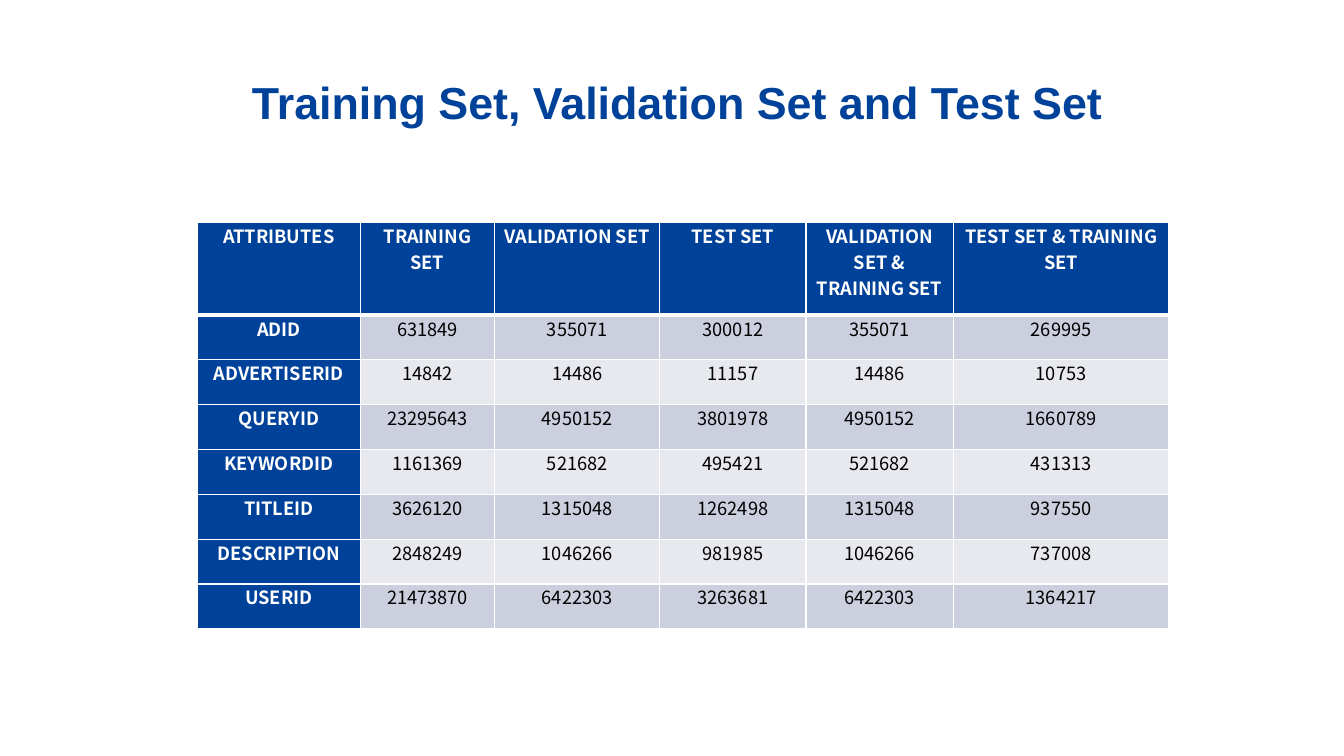
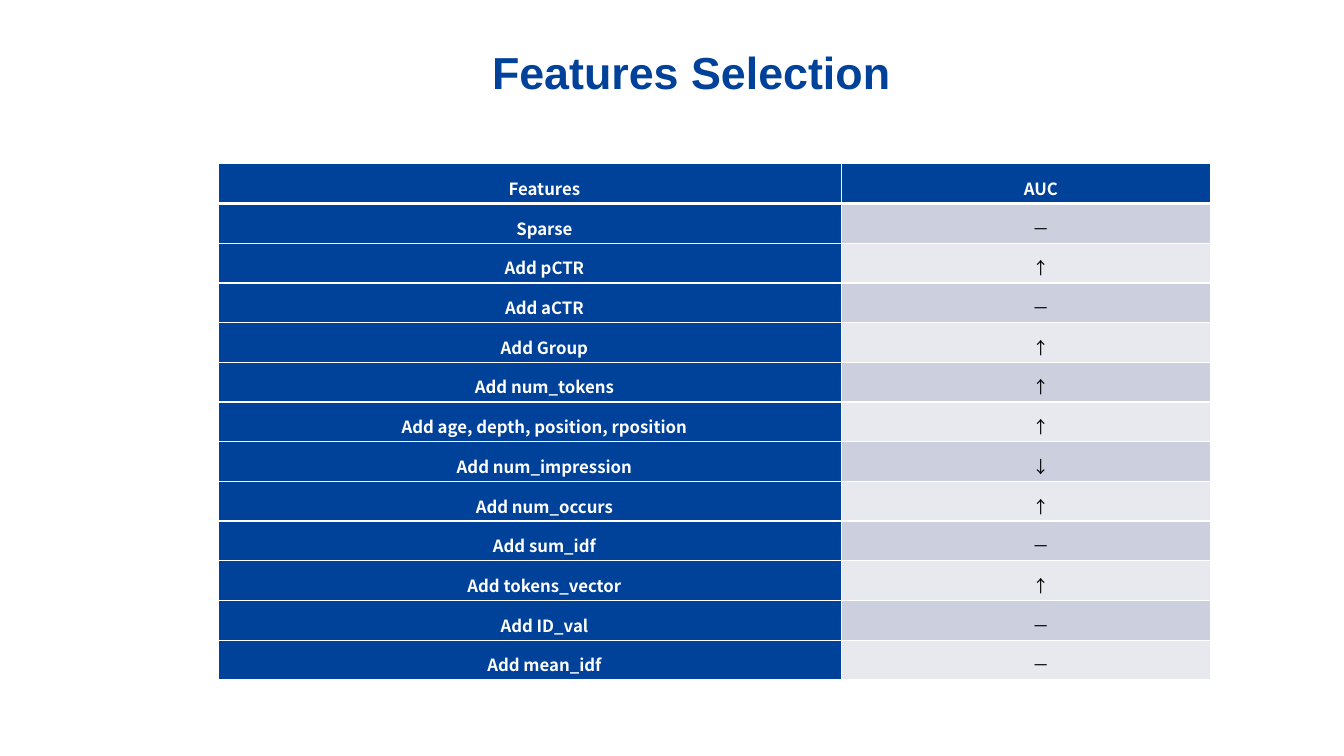
"""Build two slides that show data set sizes and the effect of each feature."""
from dataclasses import dataclass

import lxml.etree
import pptx
import pptx.dml.color
import pptx.enum.text
import pptx.oxml.ns
import pptx.util

Cm = pptx.util.Cm
Pt = pptx.util.Pt
COLOURS = {
    "blue": "004299",
    "white": "FFFFFF",
    "black": "000000",
    "band_dark": "CCCFDE",
    "band_light": "E7E9EF",
}
TITLE_FONT = "Arial"
TABLE_FONT = "Noto Sans CJK SC"


@dataclass(frozen=True)
class Title:
    text: str
    left: float
    top: float
    width: float
    centred: bool = False


@dataclass(frozen=True)
class Grid:
    rows: list[tuple[str, ...]]
    left: float
    top: float
    column_widths: tuple[float, ...]
    header_height: float
    row_height: float
    font_size: int
    side_margin: float
    indent: float = 0
    line_spacing: float = 1


SET_SIZES = [
    ("ATTRIBUTES", "TRAINING SET", "VALIDATION SET", "TEST SET",
     "VALIDATION SET & TRAINING SET", "TEST SET & TRAINING SET"),
    ("ADID", "631849", "355071", "300012", "355071", "269995"),
    ("ADVERTISERID", "14842", "14486", "11157", "14486", "10753"),
    ("QUERYID", "23295643", "4950152", "3801978", "4950152", "1660789"),
    ("KEYWORDID", "1161369", "521682", "495421", "521682", "431313"),
    ("TITLEID", "3626120", "1315048", "1262498", "1315048", "937550"),
    ("DESCRIPTION", "2848249", "1046266", "981985", "1046266", "737008"),
    ("USERID", "21473870", "6422303", "3263681", "6422303", "1364217"),
]
FEATURE_EFFECTS = [
    ("Features", "AUC"),
    ("Sparse", "－"),
    ("Add pCTR", "↑"),
    ("Add aCTR", "－"),
    ("Add Group", "↑"),
    ("Add num_tokens", "↑"),
    ("Add age, depth, position, rposition", "↑"),
    ("Add num_impression", "↓"),
    ("Add num_occurs", "↑"),
    ("Add sum_idf", "－"),
    ("Add tokens_vector", "↑"),
    ("Add ID_val", "－"),
    ("Add mean_idf", "－"),
]
PAGES = [
    (Title("Training Set, Validation Set and Test Set", 6.1, 1.75, 23.37),
     Grid(SET_SIZES, 4.97, 5.6, (4.11, 3.38, 4.17, 3.68, 3.71, 5.44),
          header_height=2.34, row_height=1.13, font_size=13, side_margin=0.24)),
    (Title("Features Selection", 11.2, 1, 12.45, centred=True),
     Grid(FEATURE_EFFECTS, 5.5, 4.13, (15.7, 9.32),
          header_height=1, row_height=1, font_size=12, side_margin=0.19,
          indent=0.74, line_spacing=1.5)),
]


def colour(name: str) -> pptx.dml.color.RGBColor:
    return pptx.dml.color.RGBColor.from_string(COLOURS[name])


def format_span(span, font: str, size: int, colour_name: str, bold: bool) -> None:
    span.font.name = font
    span.font.size = Pt(size)
    span.font.bold = bold
    span.font.color.rgb = colour(colour_name)
    east_asian = lxml.etree.SubElement(span.font._element, pptx.oxml.ns.qn("a:ea"))
    east_asian.set("typeface", font)


def add_title(page, title: Title) -> None:
    box = page.shapes.add_textbox(Cm(title.left), Cm(title.top), Cm(title.width), Cm(1.62))
    frame = box.text_frame
    frame.text = title.text
    frame.word_wrap = True
    frame.auto_size = pptx.enum.text.MSO_AUTO_SIZE.SHAPE_TO_FIT_TEXT
    para = frame.paragraphs[0]
    if title.centred:
        para.alignment = pptx.enum.text.PP_ALIGN.CENTER
    format_span(para.runs[0], TITLE_FONT, 32, "blue", True)


def set_borders(cell, widths: dict[str, int]) -> None:
    properties = cell._tc.get_or_add_tcPr()
    for position, (side, width) in enumerate(widths.items()):
        line = lxml.etree.Element(pptx.oxml.ns.qn(f"a:ln{side}"), w=str(Pt(width)))
        fill = lxml.etree.SubElement(line, pptx.oxml.ns.qn("a:solidFill"))
        lxml.etree.SubElement(fill, pptx.oxml.ns.qn("a:srgbClr"), val=COLOURS["white"])
        properties.insert(position, line)


def fill_cell(cell, text: str, row: int, column: int, grid: Grid) -> None:
    heading = row == 0 or column == 0
    band = "band_dark" if row % 2 else "band_light"
    cell.fill.solid()
    cell.fill.fore_color.rgb = colour("blue" if heading else band)
    set_borders(cell, {"L": 1, "R": 1, "T": 3 if row == 1 else 1, "B": 3 if row == 0 else 1})
    cell.margin_left = cell.margin_right = Cm(grid.side_margin)
    cell.margin_top = cell.margin_bottom = 0
    cell.text_frame.text = text
    para = cell.text_frame.paragraphs[0]
    para.alignment = pptx.enum.text.PP_ALIGN.CENTER
    para.line_spacing = grid.line_spacing
    if grid.indent:
        para._p.get_or_add_pPr().set("indent", str(Cm(grid.indent)))
    format_span(para.runs[0], TABLE_FONT, grid.font_size,
                "white" if heading else "black", heading)


def add_grid(page, grid: Grid) -> None:
    heights = [grid.header_height] + [grid.row_height] * (len(grid.rows) - 1)
    table = page.shapes.add_table(
        len(grid.rows), len(grid.column_widths), Cm(grid.left), Cm(grid.top),
        Cm(sum(grid.column_widths)), Cm(sum(heights))).table
    table.first_col = True
    for column, width in zip(table.columns, grid.column_widths):
        column.width = Cm(width)
    for row, (height, texts) in enumerate(zip(heights, grid.rows)):
        table.rows[row].height = Cm(height)
        for column, text in enumerate(texts):
            fill_cell(table.cell(row, column), text, row, column, grid)


def main() -> None:
    deck = pptx.Presentation()
    deck.slide_width, deck.slide_height = Cm(33.87), Cm(19.05)
    for title, grid in PAGES:
        page = deck.slides.add_slide(deck.slide_layouts[6])
        add_title(page, title)
        add_grid(page, grid)
    deck.save("out.pptx")


if __name__ == "__main__":
    main()
